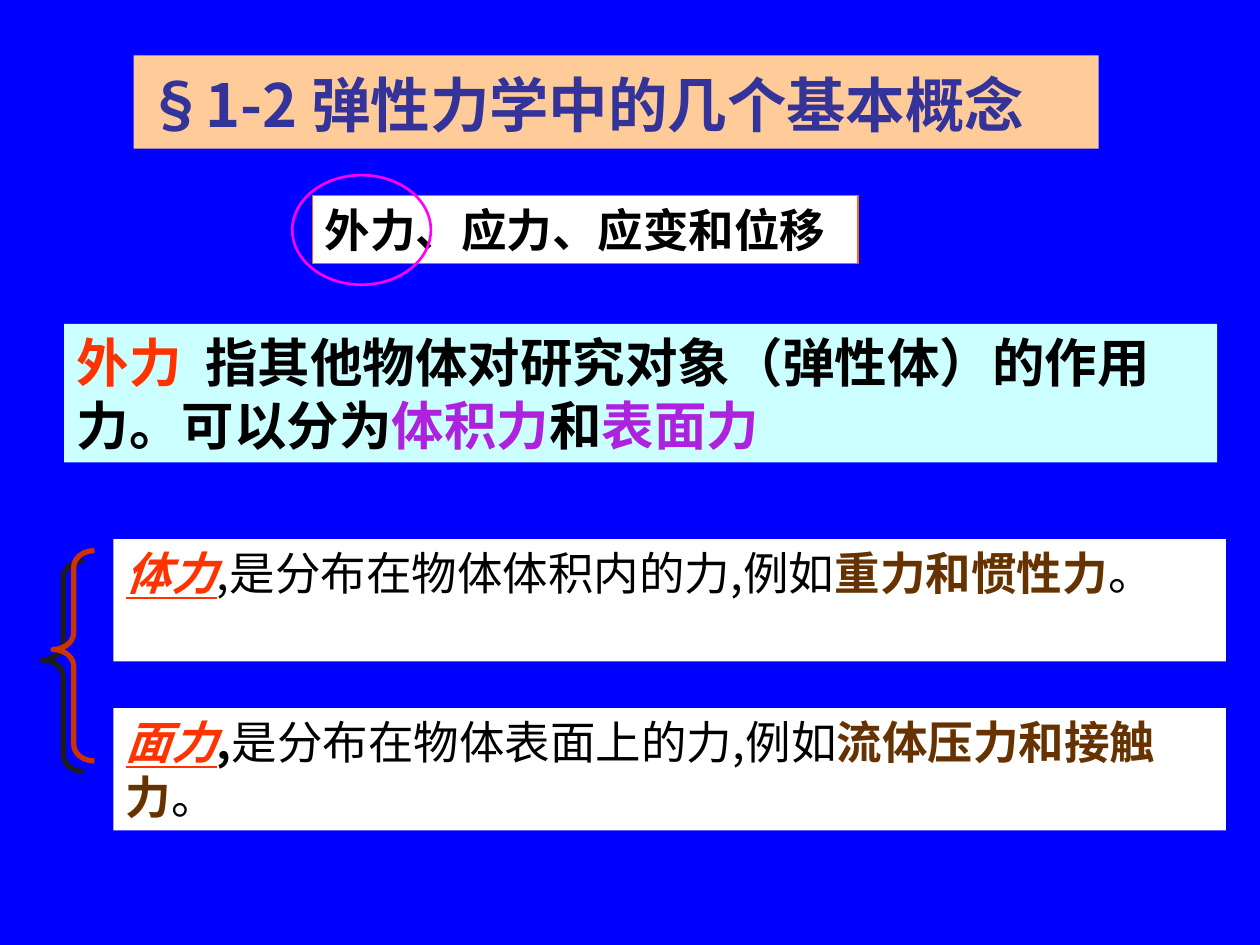
import pptx
import pptx.util
import pptx.dml.color
import pptx.enum.shapes
import pptx.enum.text
import pptx.oxml
import pptx.oxml.ns
import lxml.etree

COLUMNS, ROWS = 100, 75
SHAPES = pptx.enum.shapes.MSO_SHAPE
ANCHOR = pptx.enum.text.MSO_ANCHOR
SANS = "Noto Sans CJK SC"
PLAIN = {"color": "000000"}
BLACK = {"color": "000000", "bold": True}
RED = {"color": "FF3300", "bold": True}
PURPLE = {"color": "AD22DE", "bold": True}
BROWN = {"color": "663300", "bold": True}
TERM = {**RED, "italic": True, "underline": True}

deck = pptx.Presentation()
deck.slide_width = pptx.util.Inches(10)
deck.slide_height = pptx.util.Inches(7.5)


def colour(value):
    return pptx.dml.color.RGBColor.from_string(value)


def grid(box):
    left, top, width, height = box
    column, row = deck.slide_width / COLUMNS, deck.slide_height / ROWS
    return [round(left * column), round(top * row), round(width * column), round(height * row)]


def add_element(parent, tag, **values):
    element = lxml.etree.SubElement(parent, pptx.oxml.ns.qn(tag))
    for name, value in values.items():
        element.set(name, str(value))
    return element


def place(shape, box):
    for name, value in zip(("left", "top", "width", "height"), grid(box)):
        setattr(shape, name, value)


def paint(shape, fill):
    shape.fill.solid()
    shape.fill.fore_color.rgb = colour(fill)


def outline(shape, line, width):
    shape.line.color.rgb = colour(line)
    shape.line.width = pptx.util.Pt(width)


def write(shape, spans, size, latin, asian, anchor, top=0, pitch=None, tab=None):
    frame = shape.text_frame
    settings = {
        "word_wrap": True,
        "auto_size": pptx.enum.text.MSO_AUTO_SIZE.NONE,
        "vertical_anchor": anchor,
        "margin_left": pptx.util.Inches(0.1),
        "margin_right": pptx.util.Inches(0.1),
        "margin_top": pptx.util.Inches(top),
        "margin_bottom": 0,
    }
    for name, value in settings.items():
        setattr(frame, name, value)
    para = frame.paragraphs[0]
    para.alignment = pptx.enum.text.PP_ALIGN.LEFT
    if pitch:
        para.line_spacing = pptx.util.Pt(pitch)
    properties = para._p.get_or_add_pPr()
    properties.set("hangingPunct", "0")
    if tab:
        stops = add_element(properties, "a:tabLst")
        add_element(stops, "a:tab", pos=pptx.util.Inches(tab), algn="l")
    for text, style in spans:
        span = para.add_run()
        span.text = text
        formats = {"name": latin, "size": pptx.util.Pt(size), "bold": False, **style}
        span.font.color.rgb = colour(formats.pop("color"))
        for name, value in formats.items():
            setattr(span.font, name, value)
        add_element(span._r.get_or_add_rPr(), "a:ea", typeface=asian)


def add_title(page, box):
    title = page.shapes.title
    place(title, box)
    paint(title, "FFCC99")
    spans = [("§1-2 弹性力学中的几个基本概念", {"color": "333399", "bold": True})]
    write(title, spans, 34, "Noto Sans CJK JP", "Noto Sans CJK JP", ANCHOR.MIDDLE, 0.03)


def add_topics(page, box):
    topics = page.shapes.add_textbox(*grid(box))
    paint(topics, "FFFFFF")
    outline(topics, "FF6600", 0.75)
    write(topics, [("外力、应力、应变和位移", BLACK)], 26, "Times New Roman", SANS, ANCHOR.MIDDLE)


def add_passage(page, box, fill, spans, size, tab=None):
    passage = page.shapes.add_textbox(*grid(box))
    paint(passage, fill)
    write(passage, spans, size, SANS, SANS, ANCHOR.TOP, 0.05, size * 1.2, tab)


def add_brace(page, box):
    brace = page.shapes.add_shape(SHAPES.LEFT_BRACE, *grid(box))
    brace.adjustments[0] = 0.4
    brace.adjustments[1] = 0.47
    brace.fill.background()
    outline(brace, "CC3300", 3)
    effects = add_element(brace._element.spPr, "a:effectLst")
    shadow = add_element(effects, "a:outerShdw", dist=pptx.util.Pt(8.5), dir=135 * 60000,
                         algn="ctr", rotWithShape=0)
    add_element(shadow, "a:srgbClr", val="1C1C1C")


def add_ring(page, box):
    ring = page.shapes.add_shape(SHAPES.FLOWCHART_CONNECTOR, *grid(box))
    ring.shadow.inherit = False
    ring.fill.background()
    outline(ring, "FF00FF", 1.5)


def main():
    page = deck.slides.add_slide(deck.slide_layouts[5])
    page.background.fill.solid()
    page.background.fill.fore_color.rgb = colour("0000FF")

    definition = [
        ("外力\t", RED),
        ("指其他物体对研究对象（弹性体）的作用力。可以分为", BLACK),
        ("体积力", PURPLE),
        ("和", BLACK),
        ("表面力", PURPLE),
    ]
    forces = [
        [("体力", TERM), (",是分布在物体体积内的力,例如", PLAIN),
         ("重力和惯性力", BROWN), ("。", PLAIN)],
        [("面力", TERM), (",", BLACK), ("是分布在物体表面上的力,例如", PLAIN),
         ("流体压力和接触力", BROWN), ("。", PLAIN)],
    ]

    add_title(page, (10.6, 4.4, 76.6, 7.4))
    add_topics(page, (24.8, 15.5, 43.3, 5.4))
    for index, spans in enumerate(forces):
        add_passage(page, (9, 42.8 + index * 13.4, 88.3, 9.7), "FFFFFF", spans, 26)
    add_passage(page, (5.1, 25.7, 91.5, 11), "CCFFFF", definition, 30, 1.02)
    add_brace(page, (4.2, 43.7, 3.3, 16.7))
    add_ring(page, (23.2, 13.9, 11, 8.7))
    deck.save("out.pptx")


if __name__ == "__main__":
    main()
